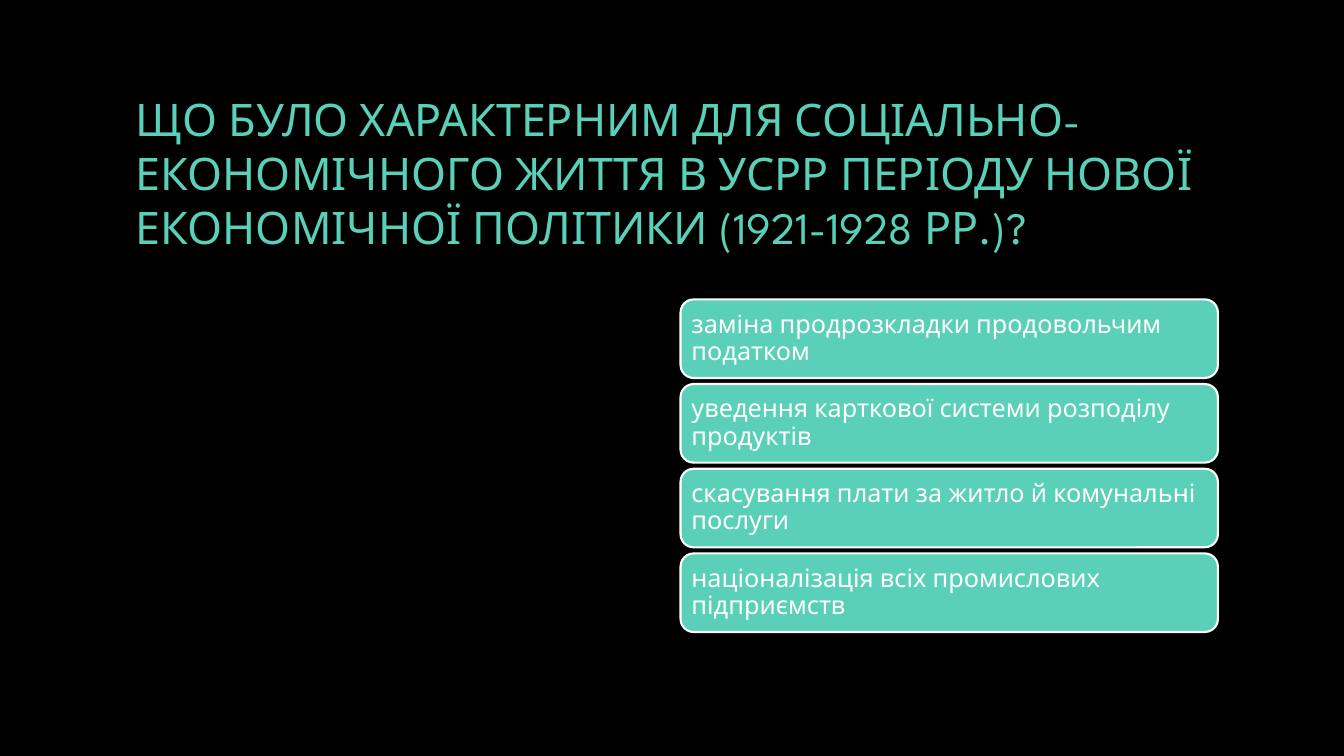
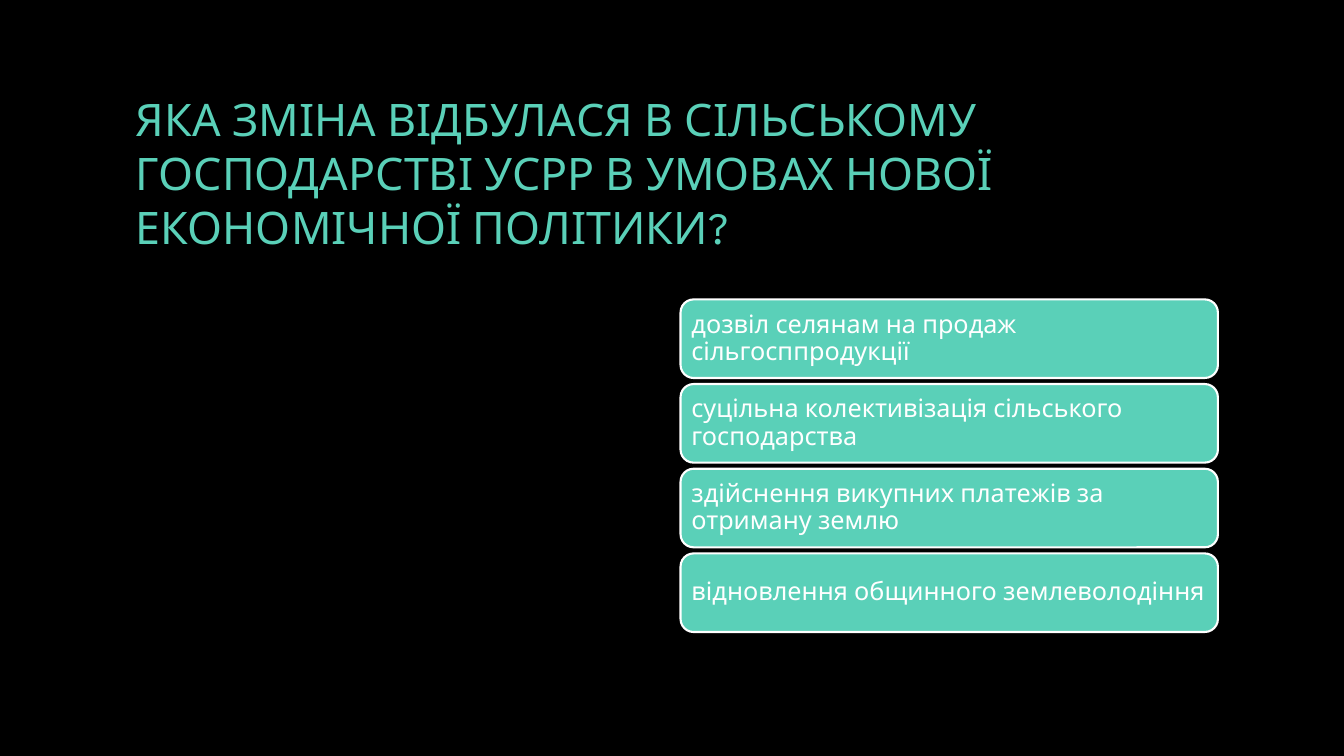
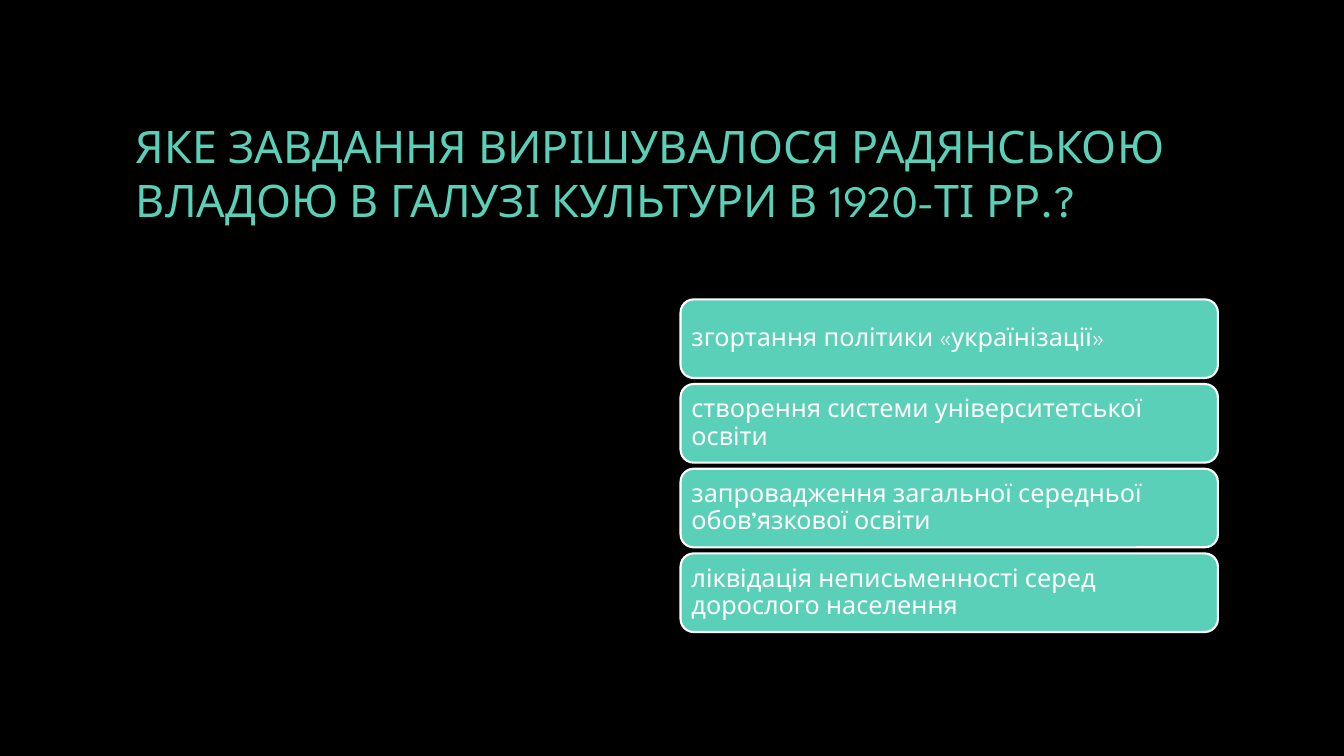
from dataclasses import dataclass

from pptx import Presentation
from pptx.dml.color import RGBColor as Rgb
from pptx.enum.shapes import MSO_SHAPE as Form
from pptx.enum.text import MSO_ANCHOR as Anchor, PP_ALIGN as Align
from pptx.slide import Slide
from pptx.text.text import TextFrame
from pptx.util import Inches, Pt

FONT = "League Spartan"
HUES = {"back": "000000", "mint": "5AD0B8", "white": "FFFFFF"}
LEFT, TOP, WIDE, HIGH, STEP = 6.75, 2.97, 5.33, 0.78, 0.84
PAD = Inches(0.07)


@dataclass
class Quiz:
    title: str
    cards: list[str]


QUIZZES = [
    Quiz(
        "ЩО БУЛО ХАРАКТЕРНИМ ДЛЯ СОЦІАЛЬНО-ЕКОНОМІЧНОГО ЖИТТЯ В УСРР "
        "ПЕРІОДУ НОВОЇ ЕКОНОМІЧНОЇ ПОЛІТИКИ (1921-1928 РР.)?",
        [
            "заміна продрозкладки продовольчим податком",
            "уведення карткової системи розподілу продуктів",
            "скасування плати за житло й комунальні послуги",
            "націоналізація всіх промислових підприємств",
        ],
    ),
    Quiz(
        "ЯКА ЗМІНА ВІДБУЛАСЯ В СІЛЬСЬКОМУ ГОСПОДАРСТВІ УСРР В УМОВАХ "
        "НОВОЇ ЕКОНОМІЧНОЇ ПОЛІТИКИ?",
        [
            "дозвіл селянам на продаж сільгосппродукції",
            "суцільна колективізація сільського господарства",
            "здійснення викупних платежів за отриману землю",
            "відновлення общинного землеволодіння",
        ],
    ),
    Quiz(
        "ЯКЕ ЗАВДАННЯ ВИРІШУВАЛОСЯ РАДЯНСЬКОЮ ВЛАДОЮ В ГАЛУЗІ КУЛЬТУРИ "
        "В 1920-ТІ РР.?",
        [
            "згортання політики «українізації»",
            "створення системи університетської освіти",
            "запровадження загальної середньої обов’язкової освіти",
            "ліквідація неписьменності серед дорослого населення",
        ],
    ),
]


def hue(name: str) -> Rgb:
    return Rgb.from_string(HUES[name])


def write(frame: TextFrame, text: str, size: int, tone: str, gap: float) -> None:
    frame.text = text
    frame.word_wrap = True
    frame.vertical_anchor = Anchor.MIDDLE
    para = frame.paragraphs[0]
    para.alignment = Align.LEFT
    para.line_spacing = gap
    font = para.runs[0].font
    font.name = FONT
    font.size = Pt(size)
    font.color.rgb = hue(tone)


def add_title(slide: Slide, text: str) -> None:
    box = slide.shapes.add_textbox(
        Inches(1.25), Inches(0.67), Inches(10.83), Inches(2.08)
    )
    write(box.text_frame, text, 32, "mint", 1.0)


def add_card(slide: Slide, text: str, row: int) -> None:
    card = slide.shapes.add_shape(
        Form.ROUNDED_RECTANGLE,
        Inches(LEFT), Inches(TOP + row * STEP), Inches(WIDE), Inches(HIGH),
    )
    card.shadow.inherit = False
    card.fill.solid()
    card.fill.fore_color.rgb = hue("mint")
    card.line.color.rgb = hue("white")
    card.line.width = Pt(1.5)
    frame = card.text_frame
    frame.margin_left = frame.margin_right = PAD
    frame.margin_top = frame.margin_bottom = PAD
    write(frame, text, 18, "white", 0.9)


def main() -> None:
    deck = Presentation()
    deck.slide_width = Inches(13.33)
    deck.slide_height = Inches(7.5)
    back = deck.slide_master.background.fill
    back.solid()
    back.fore_color.rgb = hue("back")
    for quiz in QUIZZES:
        slide = deck.slides.add_slide(deck.slide_layouts[6])
        add_title(slide, quiz.title)
        for row, text in enumerate(quiz.cards):
            add_card(slide, text, row)
    deck.save("out.pptx")


if __name__ == "__main__":
    main()
